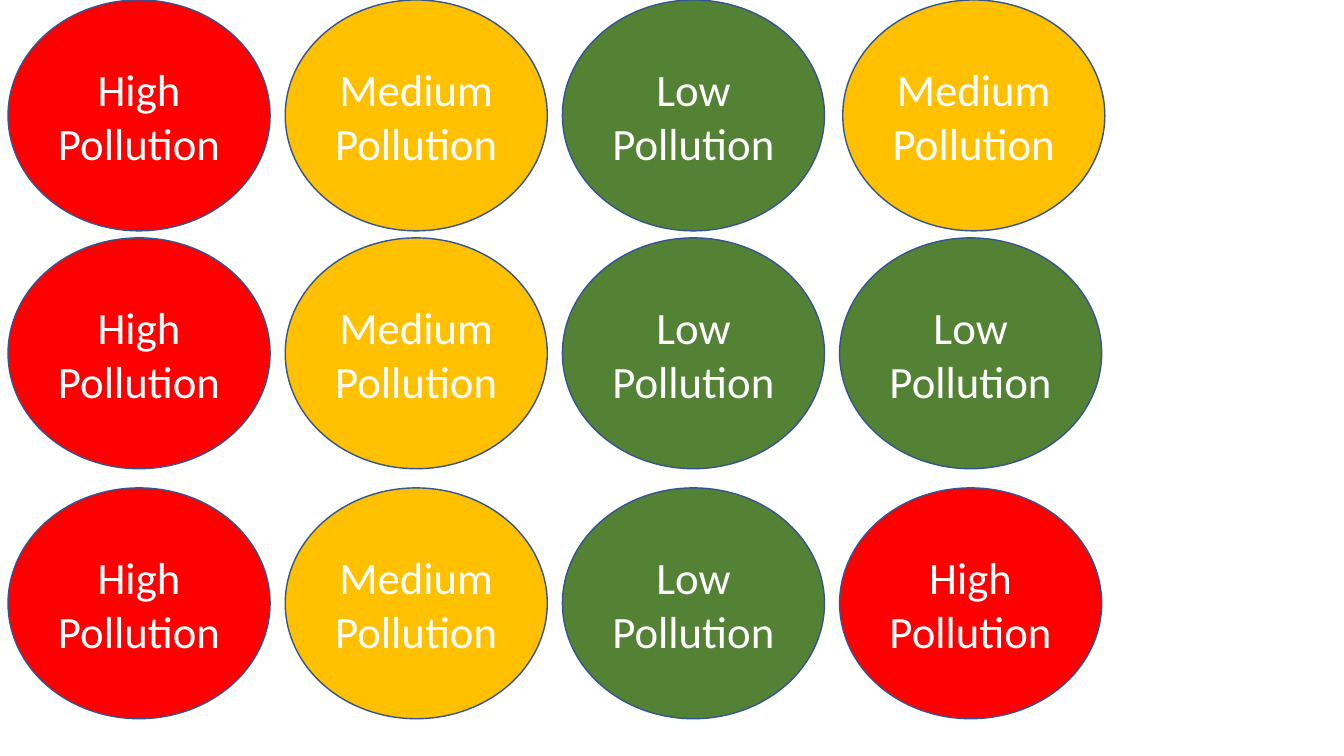
from pptx import Presentation
from pptx.dml.color import RGBColor
from pptx.enum.shapes import MSO_SHAPE
from pptx.enum.text import MSO_ANCHOR, PP_ALIGN
from pptx.util import Pt

OVAL = MSO_SHAPE.OVAL
MIDDLE = MSO_ANCHOR.MIDDLE
CENTER = PP_ALIGN.CENTER

RED = RGBColor(0xFF, 0x00, 0x00)
AMBER = RGBColor(0xFF, 0xC0, 0x00)
GREEN = RGBColor(0x54, 0x82, 0x35)
OUTLINE = RGBColor(0x32, 0x54, 0x91)
WHITE = RGBColor(0xFF, 0xFF, 0xFF)

LEVEL_COLORS = {"High": RED, "Medium": AMBER, "Low": GREEN}
COMMON_LEVELS = ["High", "Medium", "Low"]
ROWS = [(0, "Medium", 602), (169.92, "Low", 599.76), (348.48, "High", 599.76)]
FIRST_LEFT = 5.76
COLUMN_STEP = 198
OVAL_WIDTH = 187.2
OVAL_HEIGHT = 164.88
LABEL_FONT = {"name": "Calibri", "size": Pt(32)}


def add_level_oval(page, level, left, top):
    oval = page.shapes.add_shape(
        OVAL, Pt(left), Pt(top), Pt(OVAL_WIDTH), Pt(OVAL_HEIGHT)
    )
    oval.shadow.inherit = False
    oval.fill.solid()
    oval.fill.fore_color.rgb = LEVEL_COLORS[level]
    oval.line.color.rgb = OUTLINE
    oval.line.width = Pt(1)
    add_label(oval.text_frame, f"{level} Pollution")


def add_label(frame, text):
    frame.word_wrap = True
    frame.vertical_anchor = MIDDLE
    para = frame.paragraphs[0]
    para.alignment = CENTER
    span = para.add_run()
    span.text = text
    for name, value in LABEL_FONT.items():
        setattr(span.font, name, value)
    span.font.color.rgb = WHITE


def add_level_row(page, top, last_level, last_left):
    for column, level in enumerate(COMMON_LEVELS):
        add_level_oval(page, level, FIRST_LEFT + column * COLUMN_STEP, top)
    add_level_oval(page, last_level, last_left, top)


def main():
    deck = Presentation()
    deck.slide_width = Pt(960)
    deck.slide_height = Pt(540)
    page = deck.slides.add_slide(deck.slide_layouts[6])
    for top, last_level, last_left in ROWS:
        add_level_row(page, top, last_level, last_left)
    deck.save("out.pptx")


if __name__ == "__main__":
    main()
